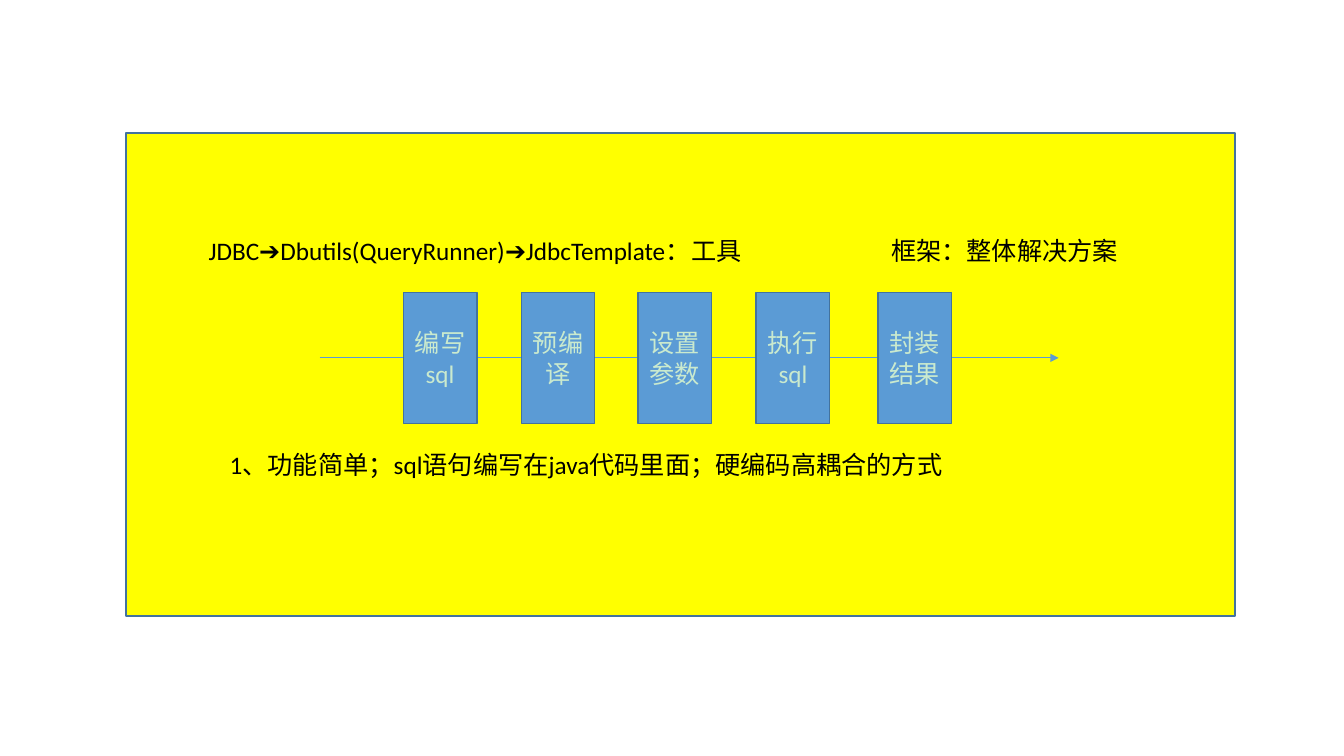
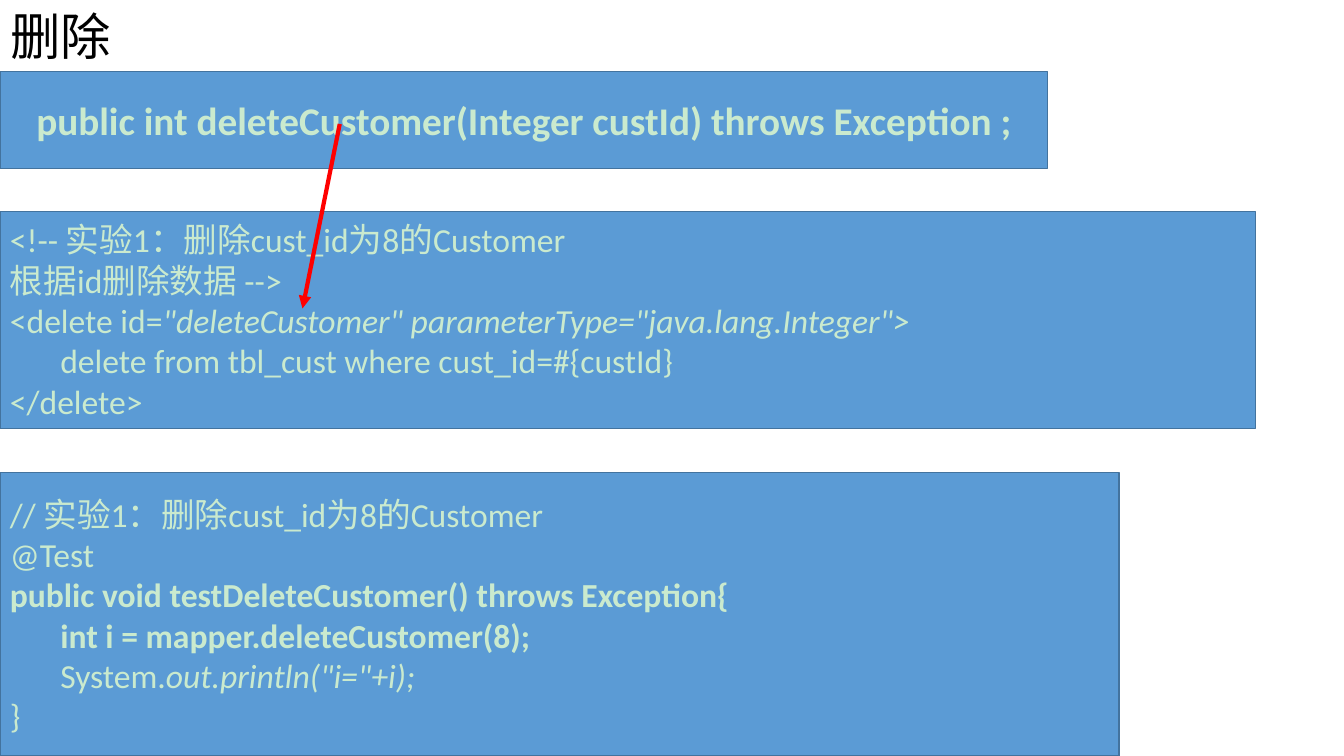
from lxml.etree import SubElement
from pptx import Presentation
from pptx.dml.color import RGBColor
from pptx.enum.shapes import MSO_CONNECTOR, MSO_SHAPE
from pptx.enum.text import MSO_ANCHOR, MSO_AUTO_SIZE, PP_ALIGN
from pptx.oxml.ns import qn
from pptx.util import Pt

PX = 9144  # one px is a hundredth of an inch
FONT = "Calibri"
BLUE = RGBColor(0x5B, 0x9B, 0xD5)
OUTLINE = RGBColor(0x43, 0x73, 0x9E)
PALE = RGBColor(0xCA, 0xEA, 0xCE)
YELLOW = RGBColor(0xFF, 0xFF, 0x00)
RED = RGBColor(0xFF, 0x00, 0x00)
BLACK = RGBColor(0x00, 0x00, 0x00)

# Content: a paragraph is a list of (text, style); styles are "", "b" and "i"
PANEL = (125, 132, 1100, 479)
TIMELINE = (317, 355, 1050, 355)
NOTES = [
    ("JDBC➔Dbutils(QueryRunner)➔JdbcTemplate：工具", (197, 229, 779, 40)),
    ("框架：整体解决方案", (874, 229, 352, 40)),
    ("1、功能简单；sql语句编写在java代码里面；硬编码高耦合的方式", (218, 441, 821, 40)),
]
STEPS = [("编写sql", 400), ("预编译", 517), ("设置参数", 633), ("执行sql", 750), ("封装结果", 871)]
STEP_TOP, STEP_WIDTH, STEP_HEIGHT = 290, 73, 130

TITLE, TITLE_BOX = "删除", (0, 0, 263, 71)
SIGNATURE = [[("public int deleteCustomer(Integer custId) throws Exception ;", "b")]]
MAPPING = [
    [("<!-- 实验1：删除cust_id为8的Customer", "")],
    [("根据id删除数据 -->", "")],
    [("<delete id=", ""), ('"deleteCustomer" parameterType="java.lang.Integer">', "i")],
    [("\tdelete from tbl_cust where cust_id=#{custId}", "")],
    [("</delete>", "")],
]
TEST = [
    [("// 实验1：删除cust_id为8的Customer", "")],
    [("@Test", "")],
    [("public void testDeleteCustomer() throws Exception{", "b")],
    [("\tint i = mapper.deleteCustomer(8);", "b")],
    [("\tSystem.", ""), ('out.println("i="+i);', "i")],
    [("}", "")],
]
CODE_BLOCKS = [  # paragraphs, box, size, alignment
    (SIGNATURE, (0, 71, 1039, 96), 28, PP_ALIGN.CENTER),
    (MAPPING, (0, 210, 1245, 215), 24, PP_ALIGN.LEFT),
    (TEST, (0, 469, 1110, 281), 24, PP_ALIGN.LEFT),
]
NAME_LINK = (337, 123, 300, 306)


def scaled(lengths):
    return [length * PX for length in lengths]


def write(frame, paragraphs, size, color, align=PP_ALIGN.LEFT, anchor=MSO_ANCHOR.TOP):
    frame.word_wrap = True
    frame.auto_size = MSO_AUTO_SIZE.NONE
    frame.vertical_anchor = anchor
    for index, spans in enumerate(paragraphs):
        paragraph = frame.add_paragraph() if index else frame.paragraphs[0]
        paragraph.alignment = align
        font = paragraph.font
        font.name, font.size, font.color.rgb = FONT, Pt(size), color
        for text, style in spans:
            run = paragraph.add_run()
            run.text = text
            if style == "b":
                run.font.bold = True
            elif style == "i":
                run.font.italic = True


def add_box(slide, box, fill):
    rectangle = slide.shapes.add_shape(MSO_SHAPE.RECTANGLE, *scaled(box))
    rectangle.shadow.inherit = False
    rectangle.fill.solid()
    rectangle.fill.fore_color.rgb = fill
    rectangle.line.color.rgb = OUTLINE
    rectangle.line.width = Pt(1)
    return rectangle


def add_code(slide, paragraphs, box, size, align):
    block = add_box(slide, box, BLUE)
    write(block.text_frame, paragraphs, size, PALE, align, MSO_ANCHOR.MIDDLE)


def add_arrow(slide, ends, color, width):
    arrow = slide.shapes.add_connector(MSO_CONNECTOR.STRAIGHT, *scaled(ends))
    arrow.line.color.rgb = color
    arrow.line.width = Pt(width)
    SubElement(arrow.line._get_or_add_ln(), qn("a:tailEnd"), type="triangle")
    SubElement(arrow._element.spPr, qn("a:effectLst"))


def build_steps(deck):
    slide = deck.slides.add_slide(deck.slide_layouts[6])
    add_box(slide, PANEL, YELLOW)
    add_arrow(slide, TIMELINE, BLUE, 0.5)
    for text, box in NOTES:
        note = slide.shapes.add_textbox(*scaled(box))
        write(note.text_frame, [[(text, "")]], 18, BLACK)
    for text, left in STEPS:
        box = (left, STEP_TOP, STEP_WIDTH, STEP_HEIGHT)
        add_code(slide, [[(text, "")]], box, 18, PP_ALIGN.CENTER)


def build_delete(deck):
    slide = deck.slides.add_slide(deck.slide_layouts[5])
    title = slide.shapes.title
    title.left, title.top, title.width, title.height = scaled(TITLE_BOX)
    write(title.text_frame, [[(TITLE, "")]], 36, BLACK)
    for block in CODE_BLOCKS:
        add_code(slide, *block)
    add_arrow(slide, NAME_LINK, RED, 3)


def main():
    deck = Presentation()
    deck.slide_width, deck.slide_height = scaled((1333, 750))
    build_steps(deck)
    build_delete(deck)
    deck.save("out.pptx")


if __name__ == "__main__":
    main()
